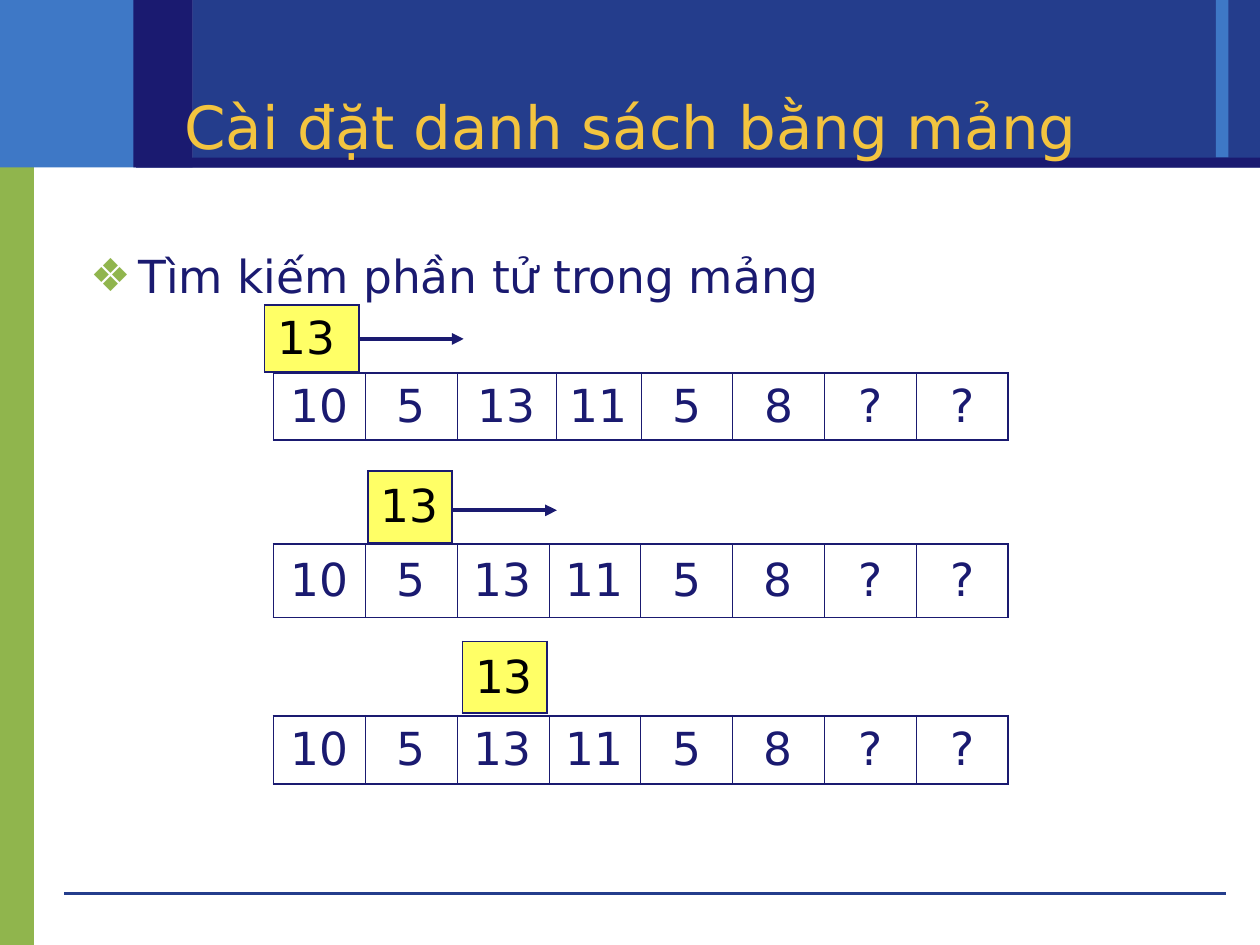
from dataclasses import dataclass
from typing import NamedTuple, Optional

import lxml.etree
import pptx
import pptx.dml.color
import pptx.enum.shapes
import pptx.enum.text
import pptx.oxml.ns
import pptx.util

RGB = pptx.dml.color.RGBColor
ALIGN = pptx.enum.text.PP_ALIGN
MIDDLE = pptx.enum.text.MSO_ANCHOR.MIDDLE

NAVY = RGB(0x1A, 0x1A, 0x70)
ROYAL = RGB(0x24, 0x3D, 0x8C)
SKY = RGB(0x3E, 0x78, 0xC6)
GREEN = RGB(0x90, 0xB5, 0x4D)
GOLD = RGB(0xF3, 0xC4, 0x3F)
YELLOW = RGB(0xFF, 0xFF, 0x66)
BLACK = RGB(0, 0, 0)

FONT = "DejaVu Sans"
OUTER, INNER = 1.08, 0.45  # border widths in points

# The slide is a grid of 100 columns by 75 rows of square units
SLIDE_WIDTH, SLIDE_HEIGHT = pptx.util.Inches(10), pptx.util.Inches(7.5)
UNIT = SLIDE_WIDTH / 100

VALUES = ("10", "5", "13", "11", "5", "8", "?", "?")
KEY = "13"
ARRAY_LEFT, ARRAY_WIDTH = 21.7, 58.3
CELL = ARRAY_WIDTH / len(VALUES)
EVEN_CELLS = (CELL,) * len(VALUES)
ARROW_LENGTH = 8.4


class Box(NamedTuple):
    left: float
    top: float
    width: float
    height: float


@dataclass(frozen=True)
class Band:
    box: Box
    color: RGB


@dataclass(frozen=True)
class SearchStep:
    key: Box
    array_top: float
    array_height: float
    cells: tuple = EVEN_CELLS
    arrow_row: Optional[float] = None


BANDS = (
    Band(Box(0, 10.7, 2.7, 64.3), GREEN),
    Band(Box(0, 0, 15.3, 13.3), SKY),
    Band(Box(15.3, 0, 84.7, 13.3), ROYAL),
    Band(Box(96.5, 0, 1, 12.5), SKY),
    Band(Box(10.8, 12.5, 89.2, 0.8), NAVY),
    Band(Box(10.6, 0, 4.7, 13.3), NAVY),
)
STEPS = (
    SearchStep(Box(21, 24.2, 7.5, 5.3), 29.6, 5.3,
               (CELL, CELL, 7.9, 6.7) + (CELL,) * 4, 26.9),
    SearchStep(Box(29.2, 37.4, 6.7, 5.7), 43.2, 5.8, arrow_row=40.5),
    SearchStep(Box(36.7, 50.9, 6.7, 5.7), 56.8, 5.4),
)


def units(count: float) -> int:
    return round(count * UNIT)


def place(box: Box) -> list:
    return [units(length) for length in box]


def write(frame, text: str, *, size=26, color=NAVY, align=ALIGN.LEFT, before=6.5):
    """Put one formatted paragraph in a text frame and return it."""
    frame.word_wrap = True
    paragraph = frame.paragraphs[0]
    paragraph.alignment = align
    paragraph.space_before = pptx.util.Pt(before)
    run = paragraph.add_run()
    run.text = text
    run.font.name = FONT
    run.font.size = pptx.util.Pt(size)
    run.font.color.rgb = color
    return paragraph


def child(parent, tag: str, **attributes: str):
    return lxml.etree.SubElement(parent, pptx.oxml.ns.qn(tag), attributes)


def draw_band(slide, band: Band) -> None:
    shape = slide.shapes.add_shape(
        pptx.enum.shapes.MSO_SHAPE.RECTANGLE, *place(band.box))
    shape.shadow.inherit = False
    shape.fill.solid()
    shape.fill.fore_color.rgb = band.color
    shape.line.fill.background()


def draw_line(slide, left, right, row, color, width, arrow=False) -> None:
    line = slide.shapes.add_connector(
        pptx.enum.shapes.MSO_CONNECTOR.STRAIGHT,
        units(left), units(row), units(right), units(row))
    line.line.color.rgb = color
    line.line.width = pptx.util.Pt(width)
    if arrow:
        child(line.line._get_or_add_ln(), "a:tailEnd", type="triangle")
    child(line._element.spPr, "a:effectLst")


def set_borders(cell, **widths: float) -> None:
    properties = cell._tc.get_or_add_tcPr()
    for position, (side, width) in enumerate(widths.items()):
        border = lxml.etree.Element(pptx.oxml.ns.qn(f"a:ln{side}"),
                                    w=str(pptx.util.Pt(width)))
        child(child(border, "a:solidFill"), "a:srgbClr", val=str(NAVY))
        properties.insert(position, border)


def draw_cells(slide, box: Box, widths, values, *, fill=None, **text_format) -> None:
    table = slide.shapes.add_table(1, len(values), *place(box)).table
    table.first_row = table.horz_banding = False
    table.rows[0].height = units(box.height)
    last = len(values) - 1
    for index, (width, value) in enumerate(zip(widths, values)):
        table.columns[index].width = units(width)
        cell = table.cell(0, index)
        cell.vertical_anchor = MIDDLE
        if fill is None:
            cell.fill.background()
        else:
            cell.fill.solid()
            cell.fill.fore_color.rgb = fill
        write(cell.text_frame, value, **text_format)
        set_borders(cell, L=OUTER if index == 0 else INNER,
                    R=OUTER if index == last else INNER, T=OUTER, B=OUTER)


def draw_step(slide, step: SearchStep) -> None:
    draw_cells(slide, step.key, (step.key.width,), (KEY,),
               fill=YELLOW, color=BLACK)
    array = Box(ARRAY_LEFT, step.array_top, ARRAY_WIDTH, step.array_height)
    draw_cells(slide, array, step.cells, VALUES, align=ALIGN.CENTER)
    if step.arrow_row is not None:
        start = step.key.left + step.key.width - 0.1
        draw_line(slide, start, start + ARROW_LENGTH, step.arrow_row,
                  NAVY, 2.25, arrow=True)


def main() -> None:
    deck = pptx.Presentation()
    deck.slide_width, deck.slide_height = SLIDE_WIDTH, SLIDE_HEIGHT
    slide = deck.slides.add_slide(deck.slide_layouts[5])

    # Header, side band and footer rule
    for band in BANDS:
        draw_band(slide, band)
    draw_line(slide, 5.1, 97.3, 70.9, ROYAL, 0)

    # Title, brought in front of the header
    title = slide.shapes.title
    title.left, title.top, title.width, title.height = place(Box(6.3, 3.3, 87.5, 13.3))
    title.text_frame.vertical_anchor = MIDDLE
    write(title.text_frame, "Cài đặt danh sách bằng mảng",
          size=34, color=GOLD, align=ALIGN.CENTER, before=0)
    title.element.getparent().append(title.element)

    # Bulleted topic
    topic = slide.shapes.add_textbox(*place(Box(6.2, 19.2, 84.3, 10.2)))
    paragraph = write(topic.text_frame, "Tìm kiếm phần tử trong mảng")
    properties = paragraph._p.get_or_add_pPr()
    properties.set("marL", str(units(3.8)))
    properties.set("indent", str(units(-3.8)))
    child(child(properties, "a:buClr"), "a:srgbClr", val=str(GREEN))
    child(properties, "a:buFont", typeface=FONT)
    child(properties, "a:buChar", char="❖")

    # Search for the key, step by step
    for step in STEPS:
        draw_step(slide, step)

    deck.save("out.pptx")


if __name__ == "__main__":
    main()
